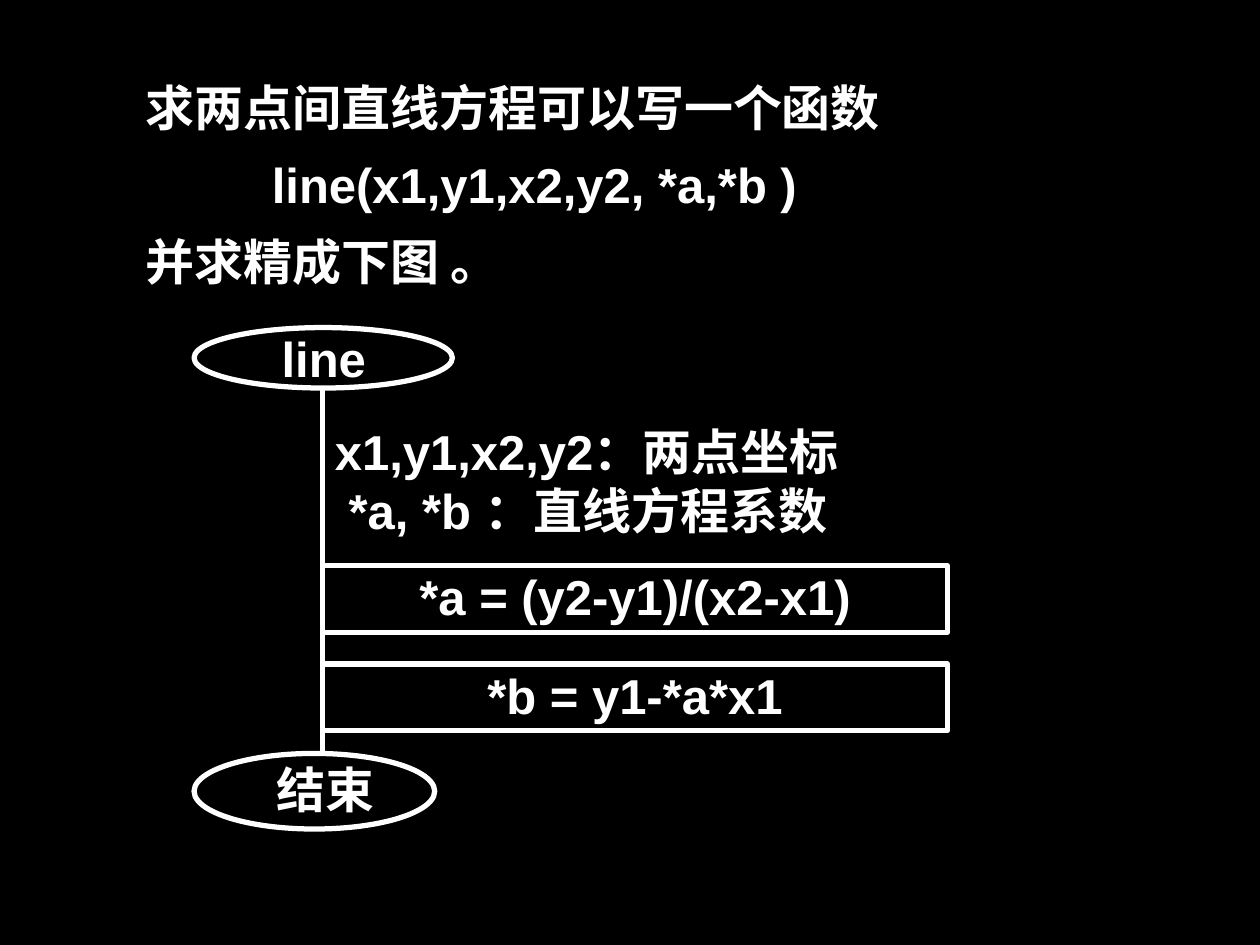
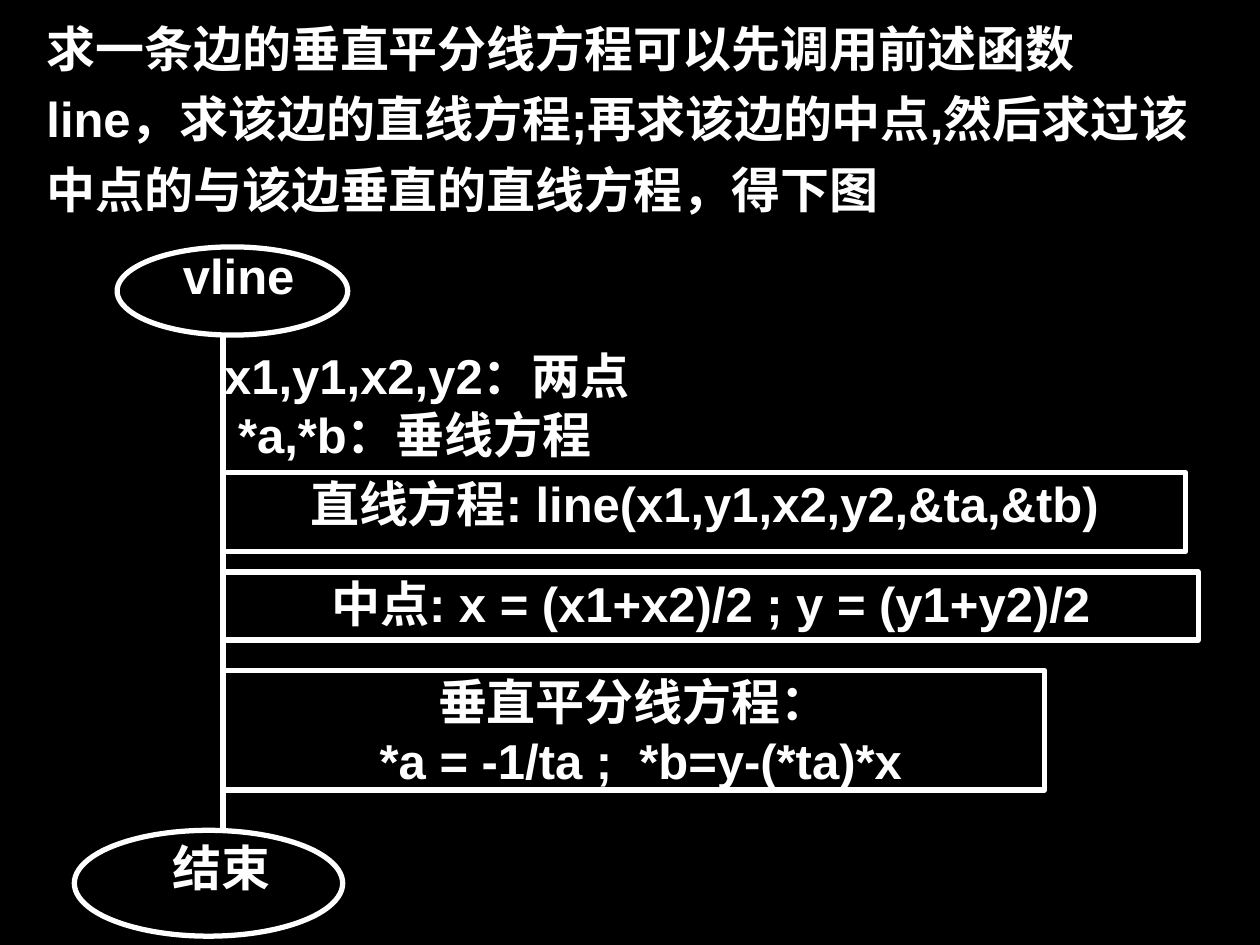
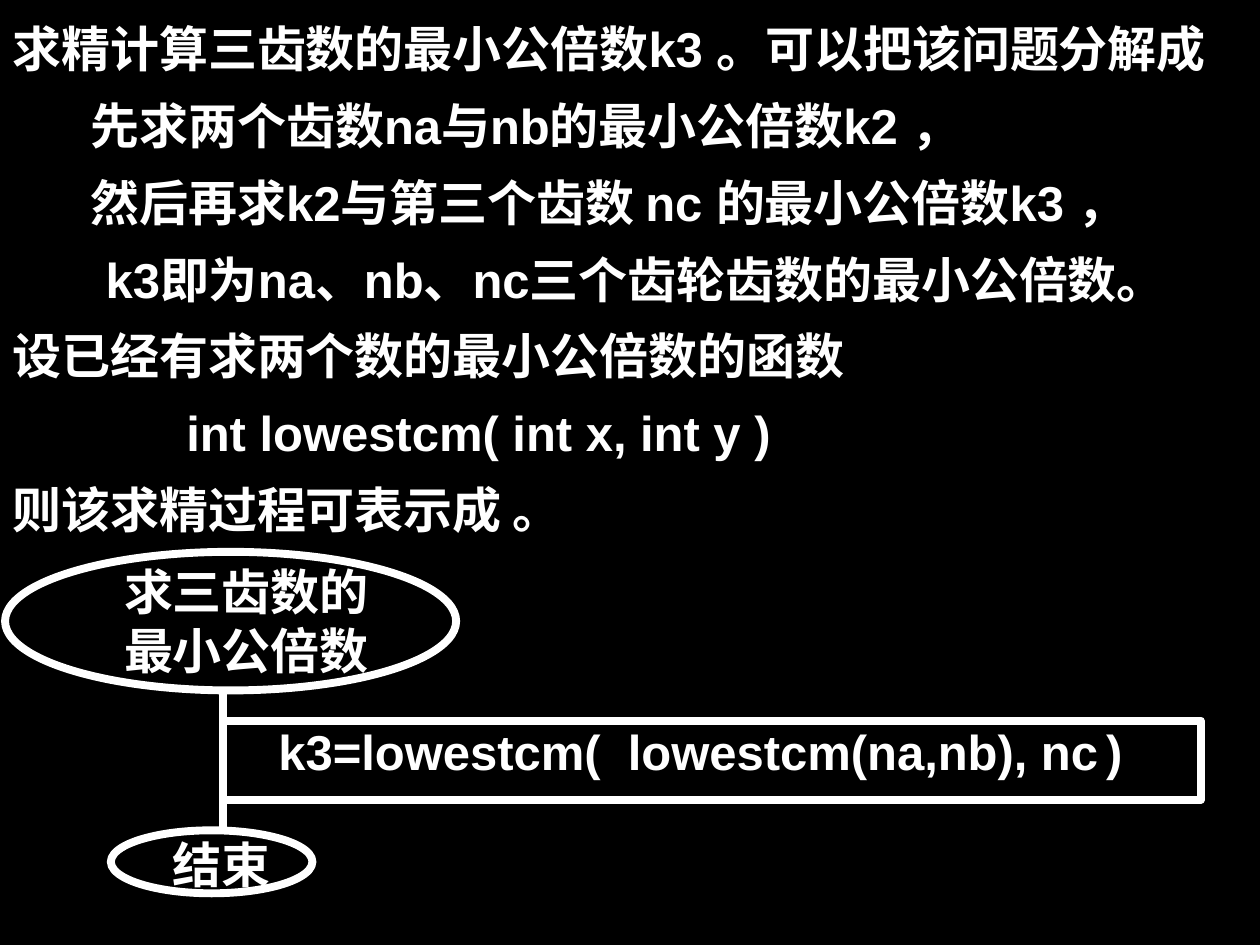
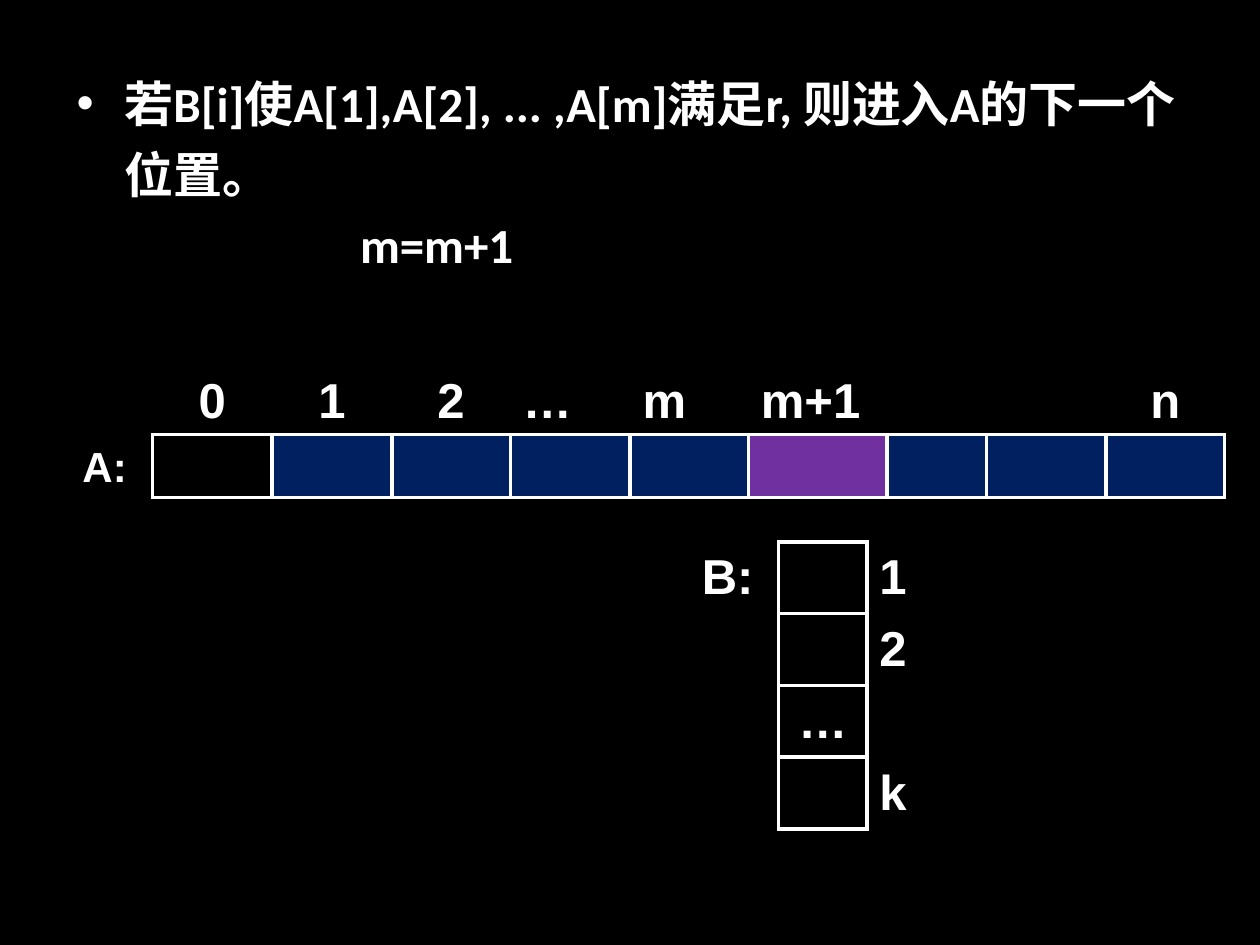
from dataclasses import dataclass
from typing import Optional

from lxml import etree
from pptx import Presentation
from pptx.dml.color import RGBColor
from pptx.enum.shapes import MSO_CONNECTOR, MSO_SHAPE
from pptx.enum.text import MSO_ANCHOR, MSO_AUTO_SIZE, PP_ALIGN
from pptx.oxml.ns import qn
from pptx.util import Inches, Pt

COLORS = {"background": "000000", "ink": "FFFFFF", "filled": "002060", "current": "7030A0"}
NO_TABLE_STYLE = "{2D5ABB26-0587-4C30-8999-92F81FD0307C}"
FONT_SIZE = 28
BORDER_WIDTH = 2.21
WIDE_INSETS = (0.1, 0.05)
THIN_INSETS = (0.01, 0.01)
CENTER, LEFT = PP_ALIGN.CENTER, PP_ALIGN.LEFT


@dataclass
class Area:
    left: float
    top: float
    width: float
    height: float

    def lengths(self) -> tuple:
        return tuple(Inches(v) for v in (self.left, self.top, self.width, self.height))


@dataclass
class Line:
    text: str
    indent: float = 0
    tab: Optional[float] = None


@dataclass
class Terminal:
    """Oval at the start or end of a chart, with its separately placed label."""
    oval: Area
    label: Area
    lines: list


@dataclass
class Step:
    area: Area
    lines: list
    align: PP_ALIGN = CENTER


@dataclass
class Comment:
    area: Area
    lines: list
    insets: tuple = WIDE_INSETS


@dataclass
class Flow:
    stem_x: float
    stem_top: float
    stem_bottom: float
    terminals: list
    steps: list
    comment: Optional[Comment] = None
    weight: float = 3


def rgb(name: str) -> RGBColor:
    return RGBColor.from_string(COLORS[name])


def format_runs(paragraph, font_name: str = "Arial", size: float = FONT_SIZE) -> None:
    for run in paragraph.runs:
        run.font.name = font_name
        run.font.size = Pt(size)
        run.font.bold = True
        run.font.color.rgb = rgb("ink")


def add_tab(paragraph, position: float) -> None:
    tabs = etree.SubElement(paragraph._p.get_or_add_pPr(), qn("a:tabLst"))
    etree.SubElement(tabs, qn("a:tab"), pos=str(Inches(position)), algn="l")


def set_indent(paragraph, margin: float, first: float) -> None:
    properties = paragraph._p.get_or_add_pPr()
    properties.set("marL", str(Inches(margin)))
    properties.set("indent", str(Inches(first)))


def fill_text(frame, lines: list, insets: tuple = THIN_INSETS, align: PP_ALIGN = LEFT,
              spacing: Optional[float] = None, gap: float = 0) -> None:
    frame.word_wrap = True
    frame.vertical_anchor = MSO_ANCHOR.TOP
    frame.margin_left = frame.margin_right = Inches(insets[0])
    frame.margin_top = frame.margin_bottom = Inches(insets[1])
    frame.text = "\n".join(line.text for line in lines)
    for number, (paragraph, line) in enumerate(zip(frame.paragraphs, lines)):
        set_indent(paragraph, 0, line.indent)
        if line.tab is not None:
            add_tab(paragraph, line.tab)
        paragraph.alignment = align
        if spacing:
            paragraph.line_spacing = spacing
        if gap:
            paragraph.space_after = Pt(gap)
            if number:
                paragraph.space_before = Pt(gap)
        format_runs(paragraph)


def add_text(shapes, area: Area, lines: list, **style):
    box = shapes.add_textbox(*area.lengths())
    fill_text(box.text_frame, lines, **style)
    return box


def add_intro(slide, area: Area, lines: list, spacing: float = 1.1, gap: float = 3.5,
              anchor: MSO_ANCHOR = MSO_ANCHOR.TOP) -> None:
    box = add_text(slide.shapes, area, lines, insets=WIDE_INSETS, spacing=spacing, gap=gap)
    box.text_frame.vertical_anchor = anchor
    box.text_frame.auto_size = MSO_AUTO_SIZE.SHAPE_TO_FIT_TEXT


def add_outline(shapes, kind: MSO_SHAPE, area: Area, weight: float):
    shape = shapes.add_shape(kind, *area.lengths())
    shape.shadow.inherit = False
    shape.fill.background()
    shape.line.color.rgb = rgb("ink")
    shape.line.width = Pt(weight)
    return shape


def add_flow(slide, flow: Flow) -> None:
    shapes = slide.shapes.add_group_shape().shapes
    # Stem
    stem = shapes.add_connector(MSO_CONNECTOR.STRAIGHT, Inches(flow.stem_x), Inches(flow.stem_top),
                                Inches(flow.stem_x), Inches(flow.stem_bottom))
    stem.line.color.rgb = rgb("ink")
    stem.line.width = Pt(flow.weight)
    etree.SubElement(stem._element.spPr, qn("a:effectLst"))
    # Start and end
    for terminal in flow.terminals:
        add_text(shapes, terminal.label, terminal.lines, align=CENTER)
        add_outline(shapes, MSO_SHAPE.OVAL, terminal.oval, flow.weight)
    # Steps
    for step in flow.steps:
        shape = add_outline(shapes, MSO_SHAPE.RECTANGLE, step.area, flow.weight)
        fill_text(shape.text_frame, step.lines, align=step.align)
    if flow.comment:
        add_text(shapes, flow.comment.area, flow.comment.lines, insets=flow.comment.insets)


def add_plain_table(slide, left: float, top: float, widths: list, heights: list):
    area = Area(left, top, sum(widths), sum(heights))
    table = slide.shapes.add_table(len(heights), len(widths), *area.lengths()).table
    table._tbl.tblPr.find(qn("a:tableStyleId")).text = NO_TABLE_STYLE
    table.first_row = table.horz_banding = False
    for column, width in zip(table.columns, widths):
        column.width = Inches(width)
    for row, height in zip(table.rows, heights):
        row.height = Inches(height)
    for cell in table.iter_cells():
        cell.fill.background()
    return table


def frame_cell(cell, fill_name: Optional[str] = None) -> None:
    properties = cell._tc.get_or_add_tcPr()
    for position, side in enumerate(("lnL", "lnR", "lnT", "lnB")):
        border = etree.Element(qn(f"a:{side}"), w=str(Pt(BORDER_WIDTH)))
        solid = etree.SubElement(border, qn("a:solidFill"))
        etree.SubElement(solid, qn("a:srgbClr"), val=COLORS["ink"])
        properties.insert(position, border)
    if fill_name:
        cell.fill.solid()
        cell.fill.fore_color.rgb = rgb(fill_name)


def write_cell(cell, text: str, anchor: MSO_ANCHOR, align: PP_ALIGN = LEFT,
               size: float = FONT_SIZE) -> None:
    cell.text_frame.text = text
    cell.vertical_anchor = anchor
    paragraph = cell.text_frame.paragraphs[0]
    paragraph.alignment = align
    format_runs(paragraph, size=size)


def build_line_slide(slide) -> None:
    add_intro(slide, Area(1.06, 0.52, 6.6, 1.84), [
        Line("求两点间直线方程可以写一个函数"),
        Line("line(x1,y1,x2,y2, *a,*b )", indent=1),
        Line("并求精成下图 。")])
    stem_x = 2.56
    add_flow(slide, Flow(
        stem_x, 3.07, 5.97,
        [Terminal(Area(1.54, 2.6, 2.05, 0.48), Area(1.77, 2.6, 1.6, 0.24), [Line("line")]),
         Terminal(Area(1.54, 5.98, 1.91, 0.6), Area(1.54, 6.02, 2.09, 0.57), [Line("结束")])],
        [Step(Area(stem_x, 4.49, 4.96, 0.53), [Line("*a = (y2-y1)/(x2-x1)")]),
         Step(Area(stem_x, 5.27, 4.96, 0.53), [Line("*b = y1-*a*x1")])],
        Comment(Area(stem_x, 3.3, 4.96, 1.04), [
            Line("x1,y1,x2,y2：两点坐标"),
            Line("*a, *b ：直线方程系数", indent=0.11)])))


def build_vline_slide(slide) -> None:
    add_intro(slide, Area(0.27, 0, 9.29, 1.78), [
        Line("求一条边的垂直平分线方程可以先调用前述函数 line，求该边的直线方程;"
             "再求该边的中点,然后求过该中点的与该边垂直的直线方程，得下图")],
        spacing=1.2, gap=0, anchor=MSO_ANCHOR.MIDDLE)
    stem_x = 1.77
    add_flow(slide, Flow(
        stem_x, 2.65, 6.59,
        [Terminal(Area(0.93, 1.96, 1.83, 0.7), Area(0.83, 1.94, 2.13, 0.71), [Line("vline")]),
         Terminal(Area(0.59, 6.59, 2.13, 0.84), Area(0.59, 6.64, 2.33, 0.78), [Line("结束")])],
        [Step(Area(stem_x, 3.75, 7.64, 0.63), [Line("直线方程: line(x1,y1,x2,y2,&ta,&tb)")]),
         Step(Area(stem_x, 4.54, 7.74, 0.54), [Line("中点: x = (x1+x2)/2 ; y = (y1+y2)/2")]),
         Step(Area(stem_x, 5.32, 6.52, 0.95), [
             Line("垂直平分线方程："),
             Line("*a = -1/ta ;  *b=y-(*ta)*x", indent=0.11)])],
        Comment(Area(stem_x, 2.73, 3.8, 0.96), [
            Line("x1,y1,x2,y2：两点"),
            Line("*a,*b：垂线方程", indent=0.11)], THIN_INSETS)))


def build_multiple_slide(slide) -> None:
    add_intro(slide, Area(0, 0.05, 10.35, 4.28), [
        Line("求精计算三齿数的最小公倍数k3 。可以把该问题分解成"),
        Line("先求两个齿数na与nb的最小公倍数k2 ，", indent=0.62),
        Line("然后再求k2与第三个齿数 nc 的最小公倍数k3 ，", indent=0.62),
        Line("k3即为na、nb、nc三个齿轮齿数的最小公倍数。", indent=0.74),
        Line("设已经有求两个数的最小公倍数的函数"),
        Line("int lowestcm( int x, int y )", indent=1.38),
        Line("则该求精过程可表示成 。")])
    stem_x = 1.77
    add_flow(slide, Flow(
        stem_x, 5.48, 6.59,
        [Terminal(Area(0.04, 4.38, 3.58, 1.1), Area(0, 4.45, 3.91, 1.03),
                  [Line("求三齿数的"), Line("最小公倍数")]),
         Terminal(Area(0.88, 6.59, 1.6, 0.5), Area(0.88, 6.61, 1.76, 0.47), [Line("结束")])],
        [Step(Area(stem_x, 5.72, 7.76, 0.63),
              [Line("k3=lowestcm(  lowestcm(na,nb), nc\t)", indent=0.43, tab=7)], LEFT)],
        weight=4.5))


def build_array_slide(slide) -> None:
    # Bulleted rule
    box = slide.shapes.add_textbox(*Area(0.51, 0.44, 9, 1.92).lengths())
    box.text_frame.word_wrap = True
    box.text_frame.text = "若B[i]使A[1],A[2], ... ,A[m]满足r, 则进入A的下一个位置。\v\tm=m+1"
    paragraph = box.text_frame.paragraphs[0]
    set_indent(paragraph, 0.38, -0.38)
    properties = paragraph._p.get_or_add_pPr()
    bullet_color = etree.SubElement(properties, qn("a:buClr"))
    etree.SubElement(bullet_color, qn("a:srgbClr"), val=COLORS["ink"])
    etree.SubElement(properties, qn("a:buFont"), typeface="Arial")
    etree.SubElement(properties, qn("a:buChar"), char="•")
    add_tab(paragraph, 2.25)
    paragraph.line_spacing = 1.2
    format_runs(paragraph, "Calibri")

    # Array A with its index labels
    widths = [0.94, 0.95, 0.95, 0.94, 0.95, 0.94, 1.1, 0.79, 0.95, 0.94]
    array_a = add_plain_table(slide, 0.27, 2.88, widths, [0.57, 0.5])
    indexes = ["0", "1", "2", "…", "m", "m+1", "", "", "n"]
    current = indexes.index("m+1")
    for number, index in enumerate(indexes):
        if index:
            align = CENTER if index in ("0", "1", "2", "n") else LEFT
            write_cell(array_a.cell(0, number + 1), index, MSO_ANCHOR.BOTTOM, align)
        fill_name = "current" if number == current else "filled" if number else None
        frame_cell(array_a.cell(1, number + 1), fill_name)
    name_cell = array_a.cell(1, 0)
    write_cell(name_cell, "A:", MSO_ANCHOR.BOTTOM, CENTER, size=24)
    set_indent(name_cell.text_frame.paragraphs[0], 0.18, 0)

    # Array B with its index labels
    array_b = add_plain_table(slide, 5.47, 4.3, [0.71, 0.7, 0.6], [0.57] * 4)
    write_cell(array_b.cell(0, 0), "B:", MSO_ANCHOR.MIDDLE)
    for row, index in enumerate(["1", "2", "", "k"]):
        frame_cell(array_b.cell(row, 1))
        if index:
            write_cell(array_b.cell(row, 2), index, MSO_ANCHOR.MIDDLE)
        else:
            write_cell(array_b.cell(row, 1), "…", MSO_ANCHOR.MIDDLE, CENTER)


def main() -> None:
    presentation = Presentation()
    presentation.slide_width, presentation.slide_height = Inches(10), Inches(7.5)
    for build in (build_line_slide, build_vline_slide, build_multiple_slide, build_array_slide):
        slide = presentation.slides.add_slide(presentation.slide_layouts[6])
        slide.background.fill.solid()
        slide.background.fill.fore_color.rgb = rgb("background")
        build(slide)
    presentation.save("out.pptx")


if __name__ == "__main__":
    main()
